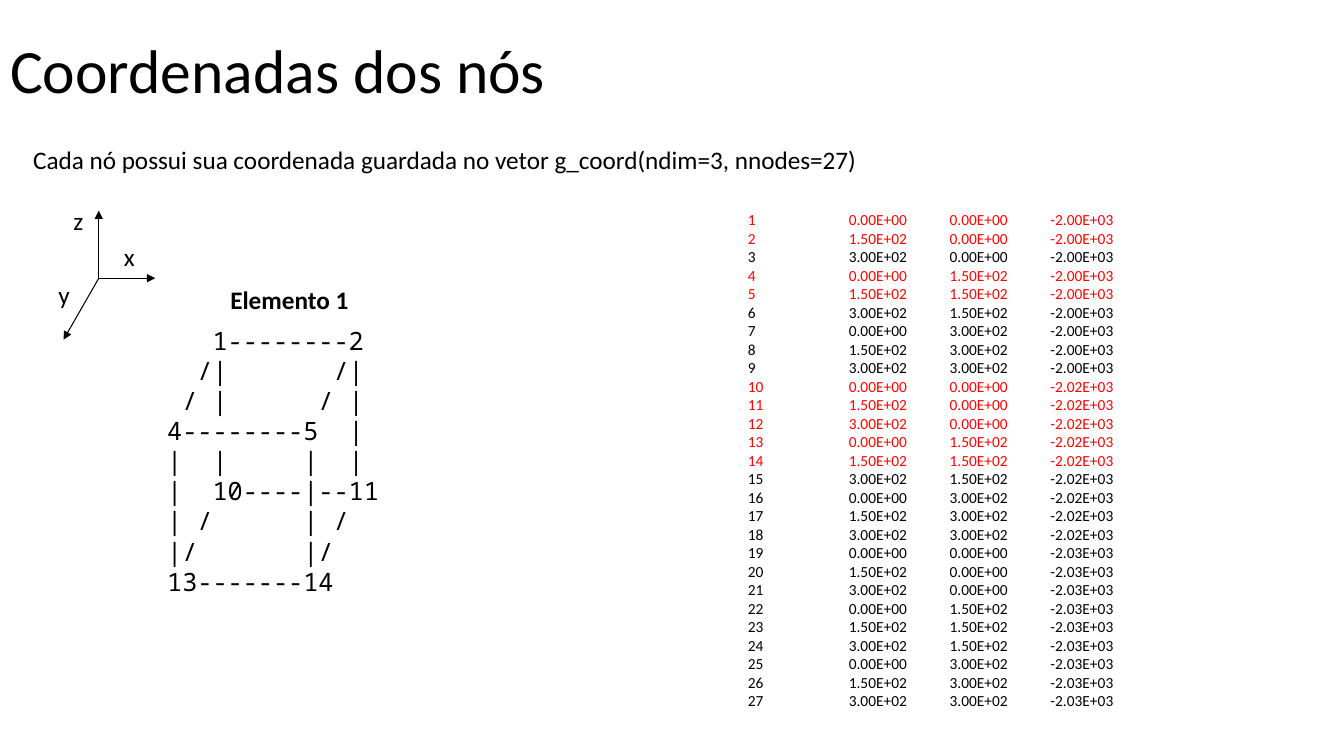
from lxml import etree
from pptx import Presentation
from pptx.dml.color import RGBColor
from pptx.enum.shapes import MSO_CONNECTOR
from pptx.enum.text import MSO_ANCHOR, MSO_AUTO_SIZE, PP_ALIGN
from pptx.oxml.ns import qn
from pptx.util import Inches, Pt

STRAIGHT = MSO_CONNECTOR.STRAIGHT
MIDDLE = MSO_ANCHOR.MIDDLE
NO_AUTOFIT = MSO_AUTO_SIZE.NONE
LEFT, CENTER = PP_ALIGN.LEFT, PP_ALIGN.CENTER

TITLE_ONLY = 5
BLACK, RED = "000000", "FF0000"
ELEMENT_NODES = {1, 2, 4, 5, 10, 11, 12, 13, 14}
PLANE_STEPS = ["0.00E+00", "1.50E+02", "3.00E+02"]
DEPTHS = ["-2.00E+03", "-2.02E+03", "-2.03E+03"]
COLUMN_STOPS = (1, 2, 3)
CUBE = [
    "   1--------2",
    "  /|       /|",
    " / |      / |",
    "4--------5  |",
    "|  |     |  |",
    "|  10----|--11",
    "| /      | /",
    "|/       |/",
    "13-------14",
]
ORIGIN = (0.98, 2.76)
AXIS_TIPS = [(0.63, 3.37), (1.54, 2.76), (0.98, 2.09)]
AXIS_LABELS = [("x", 1.13, 2.34), ("y", 0.48, 2.72), ("z", 0.63, 1.99)]


def color(value):
    return RGBColor.from_string(value)


def add_span(para, text, size, hex_color=BLACK, font="Calibri", bold=False):
    span = para.add_run()
    span.text = text
    span.font.size = Pt(size)
    span.font.name = font
    span.font.bold = bold
    span.font.color.rgb = color(hex_color)


def add_tab_stops(para, stops):
    tabs = etree.SubElement(para._p.get_or_add_pPr(), qn("a:tabLst"))
    for stop in stops:
        etree.SubElement(tabs, qn("a:tab"), pos=str(Inches(stop)), algn="l")


def add_text(slide, place, lines, size=18, align=LEFT, spacing=None, stops=(),
             **style):
    """Add a text box with one paragraph for each (text, colour) pair."""
    box = slide.shapes.add_textbox(*map(Inches, place))
    frame = box.text_frame
    frame.word_wrap = True
    for index, (text, hex_color) in enumerate(lines):
        para = frame.add_paragraph() if index else frame.paragraphs[0]
        para.alignment = align
        if spacing:
            para.line_spacing = Pt(spacing)
        if stops:
            add_tab_stops(para, stops)
        add_span(para, text, size, hex_color, **style)


def set_title(slide, text):
    title = slide.shapes.title
    title.left, title.top = Inches(0), Inches(0)
    title.width, title.height = Inches(11.5), Inches(1.45)
    frame = title.text_frame
    frame.auto_size = NO_AUTOFIT
    frame.vertical_anchor = MIDDLE
    para = frame.paragraphs[0]
    para.alignment = LEFT
    para.line_spacing = 0.9
    add_span(para, text, 44)


def add_arrow(slide, start, end):
    arrow = slide.shapes.add_connector(STRAIGHT, *map(Inches, start + end))
    arrow.line.color.rgb = color(BLACK)
    arrow.line.width = Pt(0.75)
    outline = arrow.line._get_or_add_ln()
    etree.SubElement(outline, qn("a:tailEnd"), type="triangle")
    etree.SubElement(arrow._element.spPr, qn("a:effectLst"))


def coordinate_lines():
    """List the 27 nodes, x changing fastest and z slowest."""
    lines = []
    for index in range(27):
        node = index + 1
        x = PLANE_STEPS[index % 3]
        y = PLANE_STEPS[index // 3 % 3]
        z = DEPTHS[index // 9]
        hex_color = RED if node in ELEMENT_NODES else BLACK
        lines.append((f"{node}\t{x}\t{y}\t{z}", hex_color))
    return lines


def main():
    deck = Presentation()
    deck.slide_width, deck.slide_height = Inches(13.33), Inches(7.5)
    slide = deck.slides.add_slide(deck.slide_layouts[TITLE_ONLY])

    set_title(slide, "Coordenadas dos nós")
    intro = "Cada nó possui sua coordenada guardada no vetor g_coord(ndim=3, nnodes=27)"
    add_text(slide, (0.23, 1.38, 12.81, 0.4), [(intro, BLACK)])
    add_text(slide, (7.32, 2.04, 4.06, 5.04), coordinate_lines(), size=11,
             stops=COLUMN_STOPS)

    cube_lines = [(line, BLACK) for line in CUBE]
    add_text(slide, (1.56, 3.18, 2.34, 2.8), cube_lines, spacing=21.5,
             font="Noto Sans Mono")
    add_text(slide, (1.83, 2.77, 2.08, 0.4), [("Elemento 1", BLACK)],
             align=CENTER, bold=True)

    for tip in AXIS_TIPS:
        add_arrow(slide, ORIGIN, tip)
    for name, left, top in AXIS_LABELS:
        add_text(slide, (left, top, 0.5, 0.4), [(name, BLACK)])

    deck.save("out.pptx")


if __name__ == "__main__":
    main()
